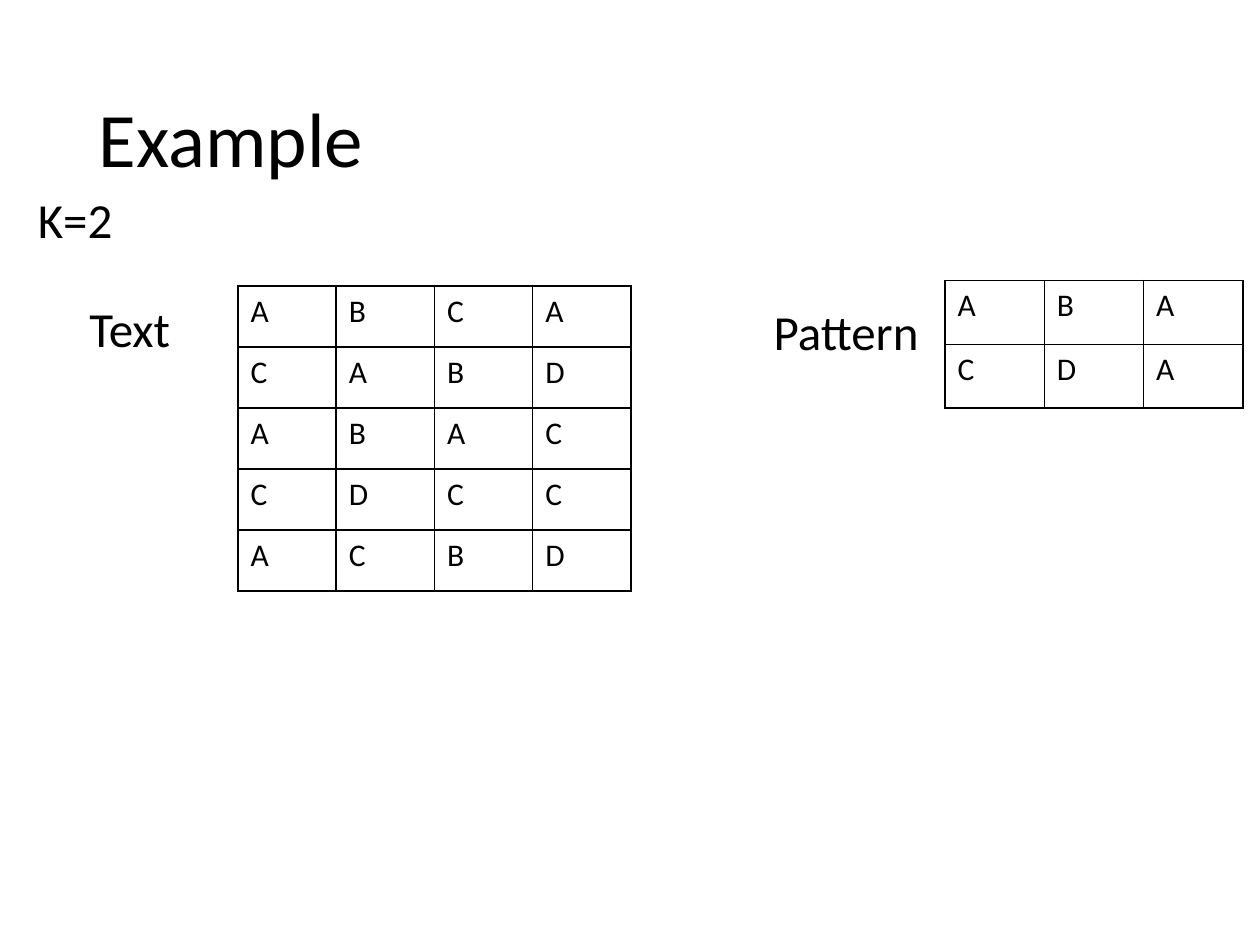
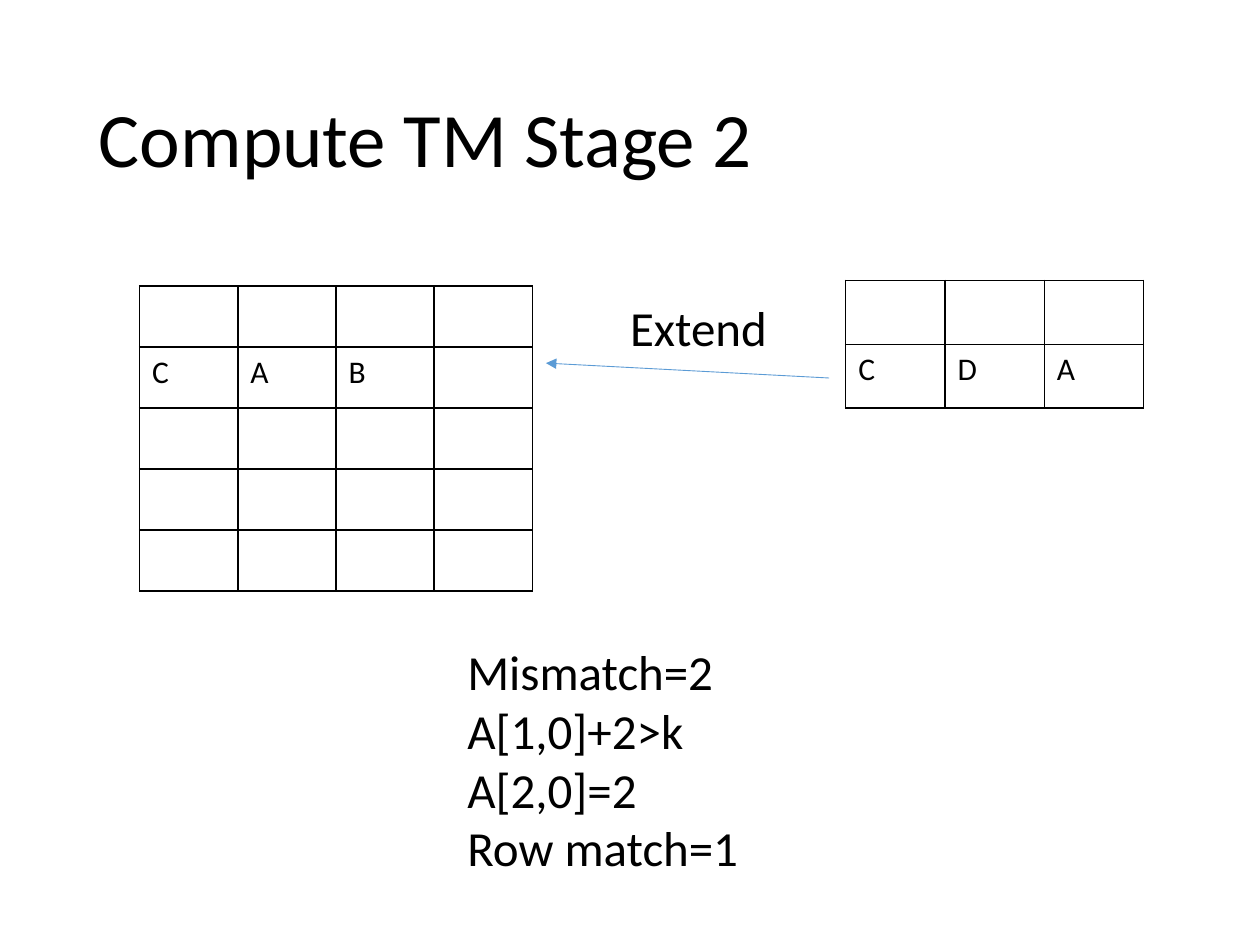
"""Build two slides that match a small letter pattern against a letter grid."""
from dataclasses import dataclass

from lxml.etree import SubElement
from pptx import Presentation
from pptx.dml.color import RGBColor
from pptx.enum.shapes import MSO_CONNECTOR
from pptx.enum.text import MSO_ANCHOR
from pptx.oxml import parse_xml
from pptx.oxml.ns import nsdecls, qn
from pptx.util import Pt

SLIDES = [
    {
        "title": "Example",
        "tables": [
            ("text", 136, ["ABCA", "CABD", "ABAC", "CDCC", "ACBD"]),
            ("pattern", 540, ["ABA", "CDA"]),
        ],
        "labels": [
            (["Text"], (44, 167, 61, 41)),
            (["Pattern"], (435, 168.5, 99, 41)),
            (["K=2"], (14.5, 104.5, 70.5, 41)),
        ],
        "arrows": [],
    },
    {
        "title": "Compute TM Stage 2",
        "tables": [
            ("text", 79.75, ["    ", "CAB ", "    ", "    ", "    "]),
            ("pattern", 483.25, ["   ", "CDA"]),
        ],
        "labels": [
            (["Extend"], (353, 166.5, 94, 41)),
            (["Mismatch=2", "A[1,0]+2>k", "A[2,0]=2", "Row match=1"], (260, 363, 178, 143)),
        ],
        "arrows": [((473.75, 216), (312, 207.5))],
    },
]

TABLE_SIZES = {
    "text": {"top": 163.5, "column": 56.15, "row": 34.85},
    "pattern": {"top": 160.25, "column": 56.75, "row": 36.5},
}
TITLE_AREA = (49.5, 29, 621, 104.5)


@dataclass(frozen=True)
class Theme:
    font: str = "Calibri"
    ink: str = "000000"
    accent: str = "5B9BD5"
    title: float = 44
    label: float = 28
    cell: float = 18
    border: float = 1
    arrow: float = 0.5


THEME = Theme()


def write(frame, lines, *, size, spacing=None, anchor=MSO_ANCHOR.TOP, wrap=True):
    frame.word_wrap = wrap
    frame.vertical_anchor = anchor
    for index, line in enumerate(lines):
        para = frame.add_paragraph() if index else frame.paragraphs[0]
        if spacing:
            para.line_spacing = spacing
        span = para.add_run()
        span.text = line
        span.font.name = THEME.font
        span.font.size = Pt(size)
        span.font.color.rgb = RGBColor.from_string(THEME.ink)


def add_text(page, lines, area, **style):
    box = page.shapes.add_textbox(*map(Pt, area))
    write(box.text_frame, lines, **style)


def add_borders(cell):
    properties = cell._tc.get_or_add_tcPr()
    for index, side in enumerate(("lnL", "lnR", "lnT", "lnB")):
        border = parse_xml(
            f'<a:{side} {nsdecls("a")} w="{Pt(THEME.border)}"><a:solidFill>'
            f'<a:srgbClr val="{THEME.ink}"/></a:solidFill></a:{side}>'
        )
        properties.insert(index, border)


def add_letter_table(page, kind, left, rows):
    size = TABLE_SIZES[kind]
    row_count, column_count = len(rows), len(rows[0])
    table = page.shapes.add_table(
        row_count, column_count, Pt(left), Pt(size["top"]),
        Pt(size["column"] * column_count), Pt(size["row"] * row_count),
    ).table
    table.first_row = False
    table.horz_banding = False
    for column in table.columns:
        column.width = Pt(size["column"])
    for row, letters in zip(table.rows, rows):
        row.height = Pt(size["row"])
        for cell, letter in zip(row.cells, letters):
            cell.fill.background()
            add_borders(cell)
            if letter.strip():
                write(cell.text_frame, [letter], size=THEME.cell)


def add_arrow(page, start, end):
    arrow = page.shapes.add_connector(MSO_CONNECTOR.STRAIGHT, *map(Pt, start + end))
    arrow.line.color.rgb = RGBColor.from_string(THEME.accent)
    arrow.line.width = Pt(THEME.arrow)
    SubElement(arrow.line._get_or_add_ln(), qn("a:tailEnd"), type="triangle")
    SubElement(arrow._element.spPr, qn("a:effectLst"))


def add_page(deck, content):
    page = deck.slides.add_slide(deck.slide_layouts[6])
    add_text(page, [content["title"]], TITLE_AREA,
             size=THEME.title, spacing=0.9, anchor=MSO_ANCHOR.MIDDLE)
    for kind, left, rows in content["tables"]:
        add_letter_table(page, kind, left, rows)
    for start, end in content["arrows"]:
        add_arrow(page, start, end)
    for lines, area in content["labels"]:
        add_text(page, lines, area, size=THEME.label, wrap=False)


def main():
    deck = Presentation()
    deck.slide_width, deck.slide_height = Pt(720), Pt(540)
    for content in SLIDES:
        add_page(deck, content)
    deck.save("out.pptx")


if __name__ == "__main__":
    main()
